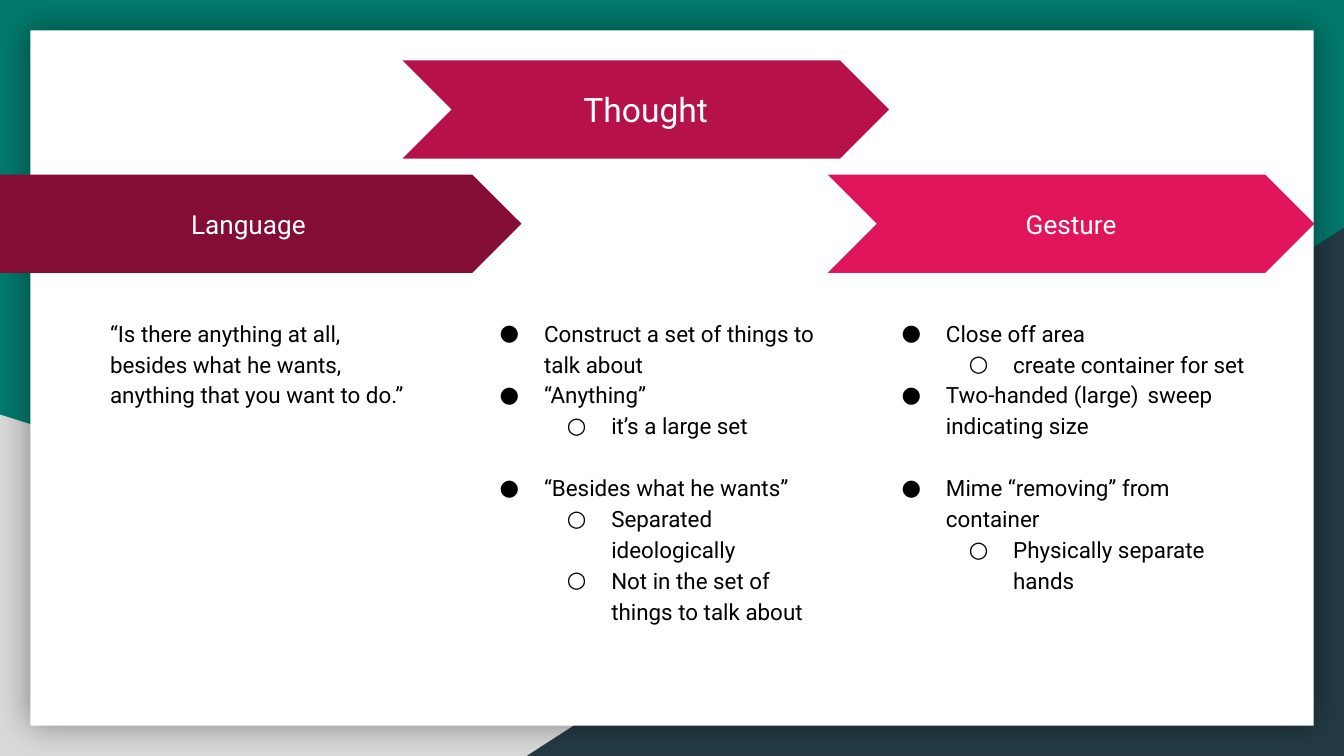
from dataclasses import dataclass

from lxml import etree
from pptx import Presentation
from pptx.dml.color import RGBColor
from pptx.enum.shapes import MSO_SHAPE
from pptx.enum.text import MSO_ANCHOR, PP_ALIGN
from pptx.oxml.ns import qn
from pptx.util import Inches, Pt

RECTANGLE = MSO_SHAPE.RECTANGLE
TRIANGLE = MSO_SHAPE.RIGHT_TRIANGLE
CHEVRON = MSO_SHAPE.CHEVRON
PENTAGON = MSO_SHAPE.PENTAGON
MIDDLE, TOP = MSO_ANCHOR.MIDDLE, MSO_ANCHOR.TOP
CENTER, LEFT = PP_ALIGN.CENTER, PP_ALIGN.LEFT

# The slide is a grid of 100 columns by 56.25 rows with square cells
COLUMNS, ROWS = 100, 56.25
CELL = Inches(0.1)
ARROW_HEIGHT = 7.3
LOWER_ARROW_ROW = 13
NOTES_ROW, NOTES_HEIGHT = 22.5, 28.6


@dataclass(frozen=True)
class Theme:
    font: str = "Roboto"
    green: str = "00796B"
    grey: str = "D9D9D9"
    navy: str = "233A44"
    white: str = "FFFFFF"
    black: str = "000000"
    wine: str = "840D35"
    crimson: str = "B61249"
    pink: str = "E1165A"
    body_size: float = 12
    label_size: float = 14
    lead_size: float = 18
    line_spacing: float = 1.15
    group_gap: float = 16.5


@dataclass(frozen=True)
class Area:
    column: float
    row: float
    columns: float
    rows: float

    def lengths(self) -> list[int]:
        return [round(n * CELL) for n in (self.column, self.row, self.columns, self.rows)]


@dataclass(frozen=True)
class Arrow:
    label: str
    outline: int
    area: Area
    color: str
    size: float


@dataclass(frozen=True)
class Line:
    text: str
    level: int | None = 0  # None means no bullet
    starts_group: bool = False


@dataclass(frozen=True)
class Notes:
    column: float
    columns: float
    lines: tuple[Line, ...]


THEME = Theme()
BULLETS = ("●", "○")

ARROWS = (
    Arrow("Gesture", CHEVRON, Area(61.6, LOWER_ARROW_ROW, 36.2, ARROW_HEIGHT),
          THEME.pink, THEME.label_size),
    Arrow("Language", PENTAGON, Area(0, LOWER_ARROW_ROW, 38.8, ARROW_HEIGHT),
          THEME.wine, THEME.label_size),
    Arrow("Thought", CHEVRON, Area(29.95, 4.5, 36.2, ARROW_HEIGHT),
          THEME.crimson, THEME.lead_size),
)

NOTES = (
    Notes(64.4, 29.2, (
        Line("Close off area"),
        Line("create container for set", 1),
        Line("Two-handed (large) \tsweep indicating size"),
        Line("Mime “removing” from container", starts_group=True),
        Line("Physically separate hands", 1),
    )),
    Notes(7.2, 24.5, (
        Line("“Is there anything at all, besides what he wants, "
             "anything that you want to do.”", None),
    )),
    Notes(34.5, 28, (
        Line("Construct a set of things to talk about"),
        Line("“Anything”"),
        Line("it’s a large set", 1),
        Line("“Besides what he wants”", starts_group=True),
        Line("Separated ideologically", 1),
        Line("Not in the set of things to talk about", 1),
    )),
)


def add_block(slide, outline: int, area: Area, color: str):
    """Add a filled shape without line or shadow."""
    block = slide.shapes.add_shape(outline, *area.lengths())
    block.shadow.inherit = False
    block.fill.solid()
    block.fill.fore_color.rgb = RGBColor.from_string(color)
    block.line.fill.background()
    return block


def add_glow(block, color: str) -> None:
    """Give a shape a soft shadow on all sides."""
    effects = block._element.spPr.find(qn("a:effectLst"))
    shadow = etree.SubElement(effects, qn("a:outerShdw"), blurRad=str(Pt(18)),
                              dist="0", dir="0", algn="ctr", rotWithShape="0")
    tint = etree.SubElement(shadow, qn("a:srgbClr"), val=color)
    etree.SubElement(tint, qn("a:alpha"), val="40000")


def format_frame(frame, anchor: int) -> None:
    margins = dict.fromkeys(
        ("margin_left", "margin_right", "margin_top", "margin_bottom"), Inches(0.1))
    for name, value in {**margins, "word_wrap": True, "vertical_anchor": anchor}.items():
        setattr(frame, name, value)


def write(paragraph, text: str, size: float, color: str, align: int) -> None:
    paragraph.alignment = align
    run = paragraph.add_run()
    run.text = text
    for name, value in {"name": THEME.font, "size": Pt(size)}.items():
        setattr(run.font, name, value)
    run.font.color.rgb = RGBColor.from_string(color)


def add_bullet(paragraph, level: int) -> None:
    paragraph.level = level
    properties = paragraph._p.get_or_add_pPr()
    properties.set("marL", str(Inches(0.5 * (level + 1))))
    properties.set("indent", str(Inches(-0.33)))
    tint = etree.SubElement(properties, qn("a:buClr"))
    etree.SubElement(tint, qn("a:srgbClr"), val=THEME.black)
    etree.SubElement(properties, qn("a:buFont"), typeface=THEME.font)
    etree.SubElement(properties, qn("a:buChar"), char=BULLETS[level])


def add_arrow(slide, arrow: Arrow) -> None:
    block = add_block(slide, arrow.outline, arrow.area, arrow.color)
    block.adjustments[0] = 0.5
    format_frame(block.text_frame, MIDDLE)
    write(block.text_frame.paragraphs[0], arrow.label, arrow.size, THEME.white, CENTER)


def add_notes(slide, notes: Notes) -> None:
    area = Area(notes.column, NOTES_ROW, notes.columns, NOTES_HEIGHT)
    frame = slide.shapes.add_textbox(*area.lengths()).text_frame
    format_frame(frame, TOP)
    for index, line in enumerate(notes.lines):
        paragraph = frame.add_paragraph() if index else frame.paragraphs[0]
        if line.level is not None:
            add_bullet(paragraph, line.level)
        paragraph.line_spacing = THEME.line_spacing
        if line.starts_group:
            paragraph.space_before = Pt(THEME.group_gap)
        write(paragraph, line.text, THEME.body_size, THEME.black, LEFT)


def add_backdrop(slide) -> None:
    slide.background.fill.solid()
    slide.background.fill.fore_color.rgb = RGBColor.from_string(THEME.green)
    # Corner triangles rest on the bottom edge
    add_block(slide, TRIANGLE, Area(0, ROWS - 25.4, 80.6, 25.4), THEME.grey)
    right_corner = add_block(
        slide, TRIANGLE, Area(COLUMNS - 60.8, ROWS - 39.3, 60.8, 39.3), THEME.navy)
    right_corner._element.spPr.find(qn("a:xfrm")).set("flipH", "1")
    # White card with an even margin
    margin = 2.25
    card = add_block(slide, RECTANGLE, Area(
        margin, margin, COLUMNS - 2 * margin, ROWS - 2 * margin), THEME.white)
    add_glow(card, THEME.black)


def main() -> None:
    deck = Presentation()
    deck.slide_width, deck.slide_height = COLUMNS * CELL, round(ROWS * CELL)
    slide = deck.slides.add_slide(deck.slide_layouts[6])
    add_backdrop(slide)
    for arrow, notes in zip(ARROWS, NOTES):
        add_arrow(slide, arrow)
        add_notes(slide, notes)
    deck.save("out.pptx")


if __name__ == "__main__":
    main()
